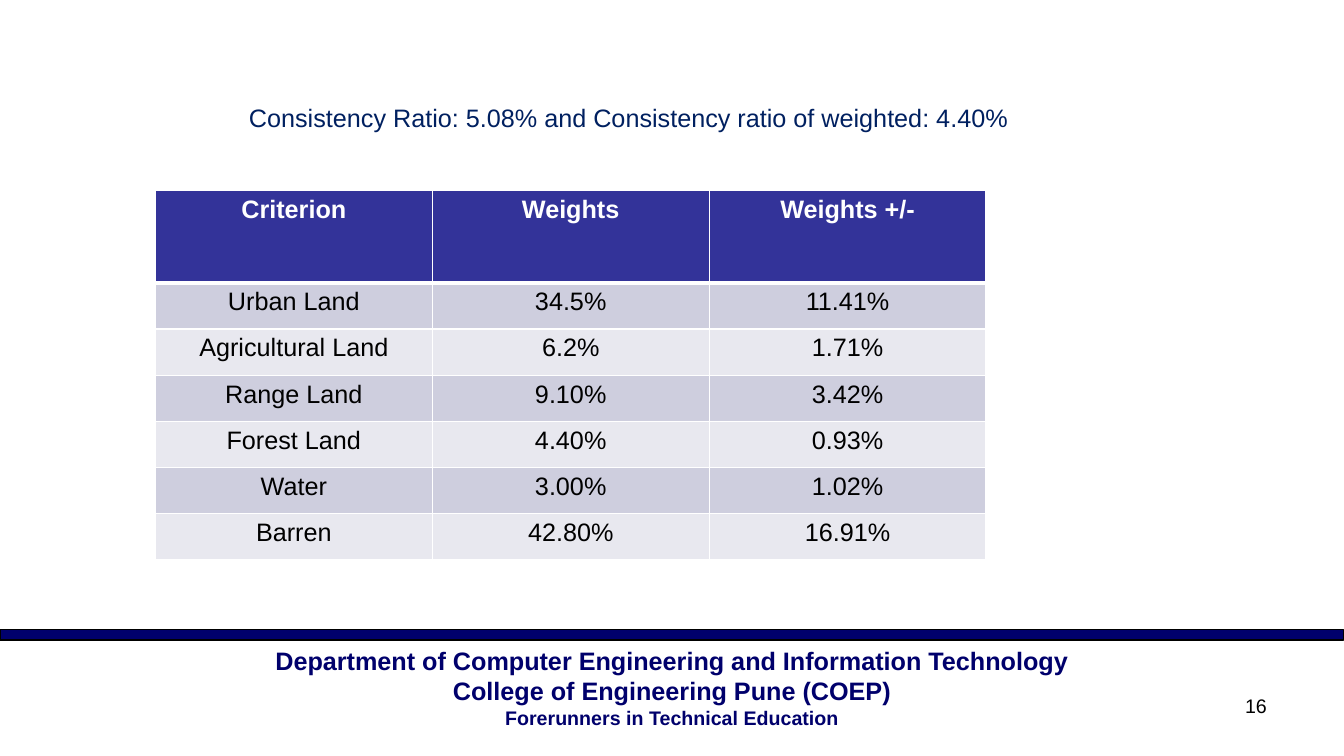
import pptx
import pptx.util
import pptx.dml.color
import pptx.enum.shapes
import pptx.enum.text
import pptx.oxml
import pptx.oxml.ns

Pt = pptx.util.Pt
ALIGN = pptx.enum.text.PP_ALIGN
FONT = "Arial"
COLORS = {
    "white": "FFFFFF", "black": "000000", "navy": "00006C", "caption": "002060",
    "header": "333399", "odd_row": "CECEDE", "even_row": "E8E8EF",
}
WEIGHTS = [
    ("Criterion", "Weights", "Weights +/-"),
    ("Urban Land", "34.5%", "11.41%"),
    ("Agricultural Land", "6.2%", "1.71%"),
    ("Range Land", "9.10%", "3.42%"),
    ("Forest Land", "4.40%", "0.93%"),
    ("Water", "3.00%", "1.02%"),
    ("Barren", "42.80%", "16.91%"),
]


def rgb(name):
    return pptx.dml.color.RGBColor.from_string(COLORS[name])


def write(paragraph, text, size=18, color="black", bold=False, align=ALIGN.CENTER):
    paragraph.alignment = align
    run = paragraph.add_run()
    run.text = text
    run.font.name = FONT
    run.font.size = Pt(size)
    run.font.bold = bold
    run.font.color.rgb = rgb(color)


def text_box(slide, left, top, width, height):
    frame = slide.shapes.add_textbox(Pt(left), Pt(top), Pt(width), Pt(height)).text_frame
    frame.word_wrap = True
    return frame


def add_caption(slide, left, top, width, height):
    caption = slide.shapes.title
    caption.left, caption.top = Pt(left), Pt(top)
    caption.width, caption.height = Pt(width), Pt(height)
    caption.text_frame.vertical_anchor = pptx.enum.text.MSO_ANCHOR.TOP
    write(caption.text_frame.paragraphs[0],
          "Consistency Ratio: 5.08% and Consistency ratio of weighted: 4.40%",
          color="caption")


def set_borders(cell, **widths):
    properties = cell._tc.get_or_add_tcPr()
    for side, width in widths.items():
        properties.append(pptx.oxml.parse_xml(
            f'<a:ln{side} {pptx.oxml.ns.nsdecls("a")} w="{Pt(width)}"><a:solidFill>'
            f'<a:srgbClr val="{COLORS["white"]}"/></a:solidFill></a:ln{side}>'))


def add_weights_table(slide, left, top, width, height):
    # The header is twice as tall as a body row
    row_height = height / (len(WEIGHTS) + 1)
    columns = len(WEIGHTS[0])
    table = slide.shapes.add_table(len(WEIGHTS), columns, Pt(left), Pt(top),
                                   Pt(width), Pt(height)).table
    for column in table.columns:
        column.width = Pt(width / columns)
    for r, values in enumerate(WEIGHTS):
        is_header = r == 0
        table.rows[r].height = Pt(row_height * (2 if is_header else 1))
        fill = "header" if is_header else "odd_row" if r % 2 else "even_row"
        for c, value in enumerate(values):
            cell = table.cell(r, c)
            set_borders(cell, L=1, R=1, T=3 if r == 1 else 1, B=3 if is_header else 1)
            cell.fill.solid()
            cell.fill.fore_color.rgb = rgb(fill)
            write(cell.text_frame.paragraphs[0], value, bold=is_header,
                  color="white" if is_header else "black")


def add_footer(slide, left, top, width, height):
    # Dividing bar
    bar_height = 7.2
    bar = slide.shapes.add_shape(pptx.enum.shapes.MSO_SHAPE.RECTANGLE,
                                 Pt(left), Pt(top), Pt(width), Pt(bar_height))
    bar.shadow.inherit = False
    bar.fill.solid()
    bar.fill.fore_color.rgb = rgb("navy")
    bar.line.color.rgb = rgb("black")
    bar.line.width = Pt(0.75)

    # Department lines
    department = text_box(slide, left, top + bar_height, width, height - bar_height)
    lines = [("Department of Computer Engineering and Information Technology", 18),
             ("College of Engineering Pune (COEP)", 18),
             ("Forerunners in Technical Education", 14)]
    for i, (line, size) in enumerate(lines):
        paragraph = department.add_paragraph() if i else department.paragraphs[0]
        write(paragraph, line, size=size, color="navy", bold=True)

    # Slide number
    number = text_box(slide, left + width - 256, top + 41.8, 208, 37.4)
    write(number.paragraphs[0], "16", size=14, align=ALIGN.RIGHT)


def main():
    deck = pptx.Presentation()
    deck.slide_width, deck.slide_height = Pt(960), Pt(540)
    slide = deck.slides.add_slide(deck.slide_layouts[5])
    add_footer(slide, 0, 450, 960, 90)
    add_weights_table(slide, 111, 136, 593.4, 264)
    add_caption(slide, 77.8, 69.8, 742.3, 29)
    deck.save("out.pptx")


if __name__ == "__main__":
    main()
